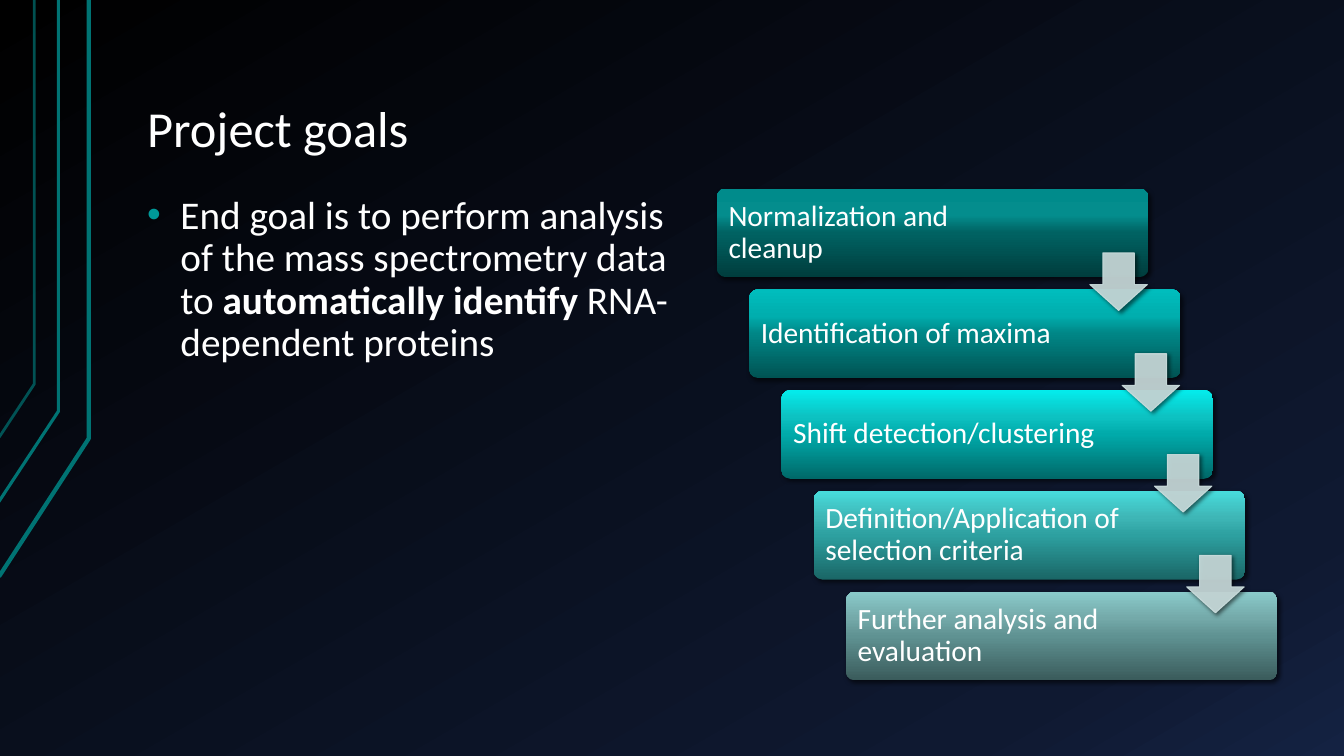
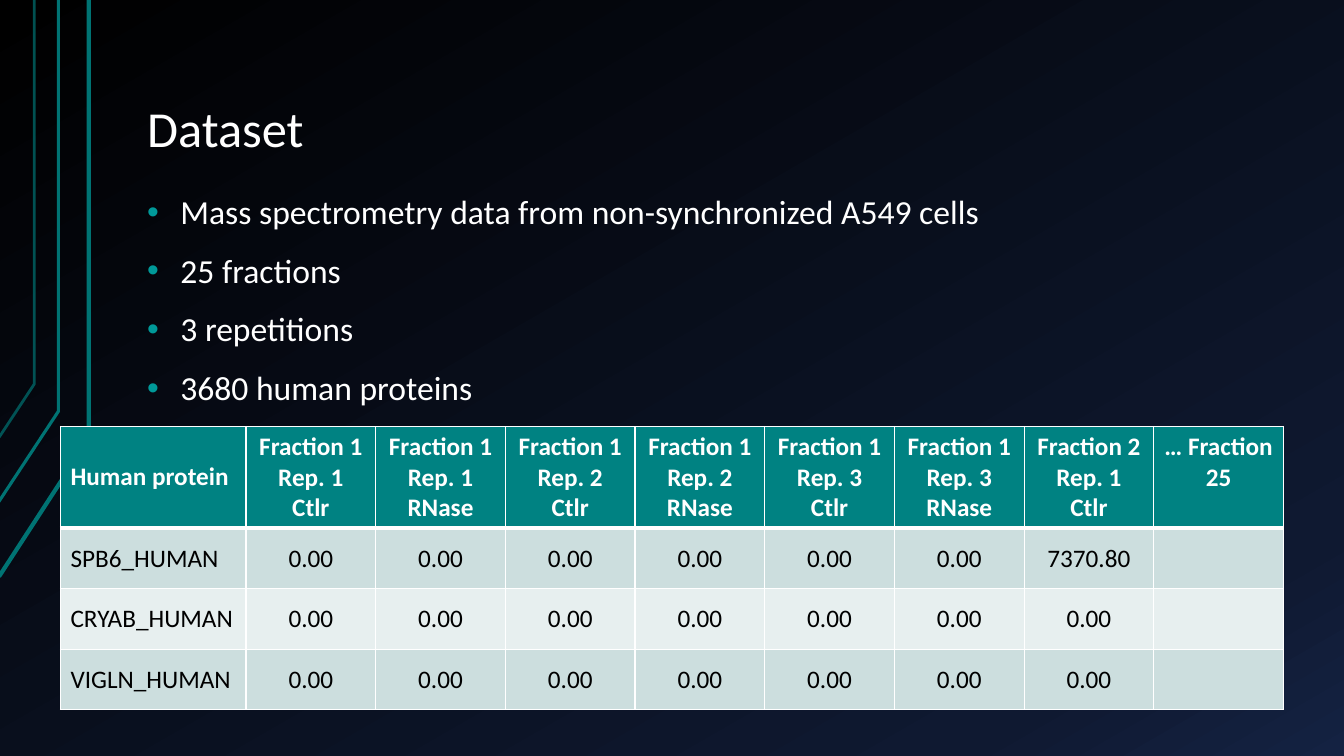
"""Build two slides on a protein mass spectrometry project."""
from pptx import Presentation
from pptx.dml.color import RGBColor
from pptx.enum.shapes import MSO_SHAPE
from pptx.enum.text import MSO_ANCHOR, PP_ALIGN
from pptx.oxml.ns import qn
from pptx.oxml.xmlchemy import OxmlElement
from pptx.util import Inches, Pt

ROUND, ARROW = MSO_SHAPE.ROUNDED_RECTANGLE, MSO_SHAPE.DOWN_ARROW
TOP, MIDDLE, BOTTOM = MSO_ANCHOR.TOP, MSO_ANCHOR.MIDDLE, MSO_ANCHOR.BOTTOM
LEFT, CENTER = PP_ALIGN.LEFT, PP_ALIGN.CENTER

FONT = "Calibri"
WHITE, BLACK = "FFFFFF", "000000"
BULLET, STROKE, HEADER = "009999", "007373", "008282"
PALE, PALER = "CCDEDE", "E7EFEF"
BACKDROP = [(0, "000000"), (85, "0F1931"), (100, "142242")]
STROKES = [
    ([(-0.01, 5.72), (0.88, 4.35), (0.88, 0)], 3, 100),
    ([(-0.02, 4.99), (0.58, 4.08), (0.58, 0)], 2.25, 100),
    ([(-0.01, 4.34), (0.34, 3.81), (0.34, 0)], 2, 70),
]
MARGIN, BODY_TOP = 1.33, 1.87
BOX_INSETS = (0.13, 0.07, 0.13, 0.07)

GOALS = [[
    ("End goal is to perform analysis of the mass spectrometry data to ", False),
    ("automatically identify", True),
    (" RNA-dependent proteins", False),
]]
STOPS = (0, 50, 70, 100)
STEPS = [
    ("Normalization and cleanup", ("003D3D", "006262", "048D8D", "008B8B")),
    ("Identification of maxima", ("005353", "008686", "00AEAE", "00BDBD")),
    ("Shift detection/clustering", ("006969", "00AAAA", "0DC2C2", "04ECEC")),
    ("Definition/Application of selection criteria",
     ("1A6666", "2DA0A0", "3EB6B6", "47DCDC")),
    ("Further analysis and evaluation",
     ("3A5B5B", "5F9292", "74A9A9", "8ACBCB")),
]
STEP_LEFT, STEP_DX, STEP_DY = 7.11, 0.32, 1
STEP_W, STEP_H, ARROW_SIZE = 4.28, 0.88, 0.57
ARROW_DX, ARROW_DY = 3.7, 0.64

FACTS = ["Mass spectrometry data from non-synchronized A549 cells",
         "25 fractions", "3 repetitions", "3680 human proteins"]
SAMPLES = [(1, rep, kind) for rep in (1, 2, 3) for kind in ("Ctlr", "RNase")]
SAMPLES.append((2, 1, "Ctlr"))
HEADINGS = [["Human protein"]]
HEADINGS += [[f"Fraction {n}", f"Rep. {rep}", kind] for n, rep, kind in SAMPLES]
HEADINGS.append(["… Fraction 25"])
PROTEINS = [("SPB6_HUMAN", ["0.00"] * 6 + ["7370.80"]),
            ("CRYAB_HUMAN", ["0.00"] * 7),
            ("VIGLN_HUMAN", ["0.00"] * 7)]
TABLE_BOX = (0.6, 4.23, 12.13, 2.81)
NAME_W, ROW_H = 1.84, 0.6


def rgb(color):
    """Turn a hex string into a colour."""
    return RGBColor.from_string(color)


def child(parent, tag, **attrs):
    """Append an XML element with attributes."""
    el = OxmlElement(tag)
    for name, value in attrs.items():
        el.set(name, str(value))
    parent.append(el)
    return el


def set_gradient(owner, fill, stops, angle):
    """Fill a shape or background with a linear gradient."""
    fill.gradient()
    grad = owner.element.find(".//" + qn("a:gradFill"))
    grad.clear()
    gs_list = child(grad, "a:gsLst")
    for pos, color in stops:
        gs = child(gs_list, "a:gs", pos=pos * 1000)
        child(gs, "a:srgbClr", val=color)
    child(grad, "a:lin", ang=angle * 60000, scaled=0)


def set_alpha(sp, percent):
    """Make the solid colours of a shape translucent."""
    for color in list(sp.element.spPr.iter(qn("a:srgbClr"))):
        child(color, "a:alpha", val=percent * 1000)


def add_shadow(sp):
    """Give a shape a soft shadow to the lower right."""
    sp.shadow.inherit = False
    effects = sp.element.spPr.find(qn("a:effectLst"))
    shadow = child(effects, "a:outerShdw", blurRad=Pt(3), dist=Pt(2),
                   dir=45 * 60000, algn="tl", rotWithShape=0)
    color = child(shadow, "a:srgbClr", val=BLACK)
    child(color, "a:alpha", val=60000)


def write(tf, paragraphs, size=18, color=WHITE, bold=False, align=LEFT,
          spacing=None, before=None, bullet=False):
    """Write paragraphs, each a string or a list of (text, bold) runs."""
    for i, runs in enumerate(paragraphs):
        p = tf.paragraphs[0] if i == 0 else tf.add_paragraph()
        p.alignment = align
        if spacing:
            p.line_spacing = spacing
        if before:
            p.space_before = Pt(before)
        if bullet:
            pPr = p._p.get_or_add_pPr()
            pPr.set("marL", str(Inches(0.33)))
            pPr.set("indent", str(-Inches(0.33)))
            child(child(pPr, "a:buClr"), "a:srgbClr", val=BULLET)
            child(pPr, "a:buFont", typeface="Arial")
            child(pPr, "a:buChar", char="•")
        for text, strong in [(runs, bold)] if isinstance(runs, str) else runs:
            r = p.add_run()
            r.text = text
            r.font.name, r.font.size, r.font.bold = FONT, Pt(size), strong
            r.font.color.rgb = rgb(color)


def frame(sp, insets, anchor):
    """Set wrapping, insets and anchor, and return the text frame."""
    tf = sp.text_frame
    tf.word_wrap = True
    tf.vertical_anchor = anchor
    (tf.margin_left, tf.margin_top,
     tf.margin_right, tf.margin_bottom) = map(Inches, insets)
    return tf


def add_text(s, box, paragraphs, anchor=TOP, **fmt):
    """Add a text box."""
    sp = s.shapes.add_textbox(*map(Inches, box))
    write(frame(sp, BOX_INSETS, anchor), paragraphs, spacing=0.9, **fmt)


def add_body(s, width, height, paragraphs, size):
    """Add the bulleted body text."""
    add_text(s, (MARGIN, BODY_TOP, width, height), paragraphs,
             size=size, before=16, bullet=True)


def new_slide(prs, title):
    """Add a slide with the shared backdrop, strokes and title."""
    s = prs.slides.add_slide(prs.slide_layouts[6])
    set_gradient(s, s.background.fill, BACKDROP, 60)
    for points, width, alpha in STROKES:
        start, *rest = [(Inches(x), Inches(y)) for x, y in points]
        builder = s.shapes.build_freeform(*start)
        builder.add_line_segments(rest, close=False)
        sp = builder.convert_to_shape()
        sp.fill.background()
        sp.line.color.rgb = rgb(STROKE)
        sp.line.width = Pt(width)
        sp.shadow.inherit = False
        set_alpha(sp, alpha)
    add_text(s, (MARGIN, 0.3, 11.33, 1.34), [title], anchor=BOTTOM, size=36)
    return s


def add_steps(s):
    """Draw the staircase of steps, then the arrows between them."""
    corners = [(STEP_LEFT + i * STEP_DX, BODY_TOP + i * STEP_DY)
               for i in range(len(STEPS))]
    for (x, y), (text, colors) in zip(corners, STEPS):
        sp = s.shapes.add_shape(ROUND, *map(Inches, (x, y, STEP_W, STEP_H)))
        sp.adjustments[0] = 0.1
        set_gradient(sp, sp.fill, zip(STOPS, colors), 270)
        sp.line.fill.background()
        add_shadow(sp)
        write(frame(sp, (0.09, 0.09, 1.08, 0.09), MIDDLE), [text],
              size=21, spacing=0.9)
    for x, y in corners[:-1]:
        sp = s.shapes.add_shape(ARROW, Inches(x + ARROW_DX), Inches(y + ARROW_DY),
                                Inches(ARROW_SIZE), Inches(ARROW_SIZE))
        sp.adjustments[0], sp.adjustments[1] = 0.55, 0.45
        sp.fill.solid()
        sp.fill.fore_color.rgb = sp.line.color.rgb = rgb(PALE)
        sp.line.width = Pt(0.75)
        set_alpha(sp, 90)
        add_shadow(sp)


def style_cell(cell, fill, top, bottom):
    """Set the borders, fill and anchor of a table cell."""
    tcPr = cell._tc.get_or_add_tcPr()
    for side, width in zip("LRTB", (1, 1, top, bottom)):
        ln = child(tcPr, f"a:ln{side}", w=Pt(width))
        child(child(ln, "a:solidFill"), "a:srgbClr", val=WHITE)
    cell.fill.solid()
    cell.fill.fore_color.rgb = rgb(fill)
    cell.vertical_anchor = MIDDLE


def add_protein_table(s):
    """Add the table of protein amounts by fraction."""
    rows = [HEADINGS]
    rows += [[[name]] + [[v] for v in values] + [[]] for name, values in PROTEINS]
    n_cols = len(HEADINGS)
    table = s.shapes.add_table(len(rows), n_cols, *map(Inches, TABLE_BOX)).table
    for j, col in enumerate(table.columns):
        col.width = Inches((TABLE_BOX[2] - NAME_W) / (n_cols - 1) if j else NAME_W)
    for i, row in enumerate(rows):
        head = i == 0
        table.rows[i].height = Inches(
            TABLE_BOX[3] - ROW_H * len(PROTEINS) if head else ROW_H)
        fill = HEADER if head else (PALER, PALE)[i % 2]
        for j, lines in enumerate(row):
            cell = table.cell(i, j)
            style_cell(cell, fill, 3 if i == 1 else 1, 3 if head else 1)
            write(cell.text_frame, lines, color=WHITE if head else BLACK,
                  bold=head, align=CENTER if j else LEFT)
    last_heading = table.cell(0, n_cols - 1)
    last_heading.vertical_anchor = TOP


def main():
    """Build and save the presentation."""
    prs = Presentation()
    prs.slide_width, prs.slide_height = Inches(13.33), Inches(7.5)

    s = new_slide(prs, "Project goals")
    add_body(s, 5.55, 4.88, GOALS, 28)
    add_steps(s)

    s = new_slide(prs, "Dataset")
    add_body(s, 8.64, 2.28, FACTS, 24)
    add_protein_table(s)

    prs.save("out.pptx")


if __name__ == "__main__":
    main()
